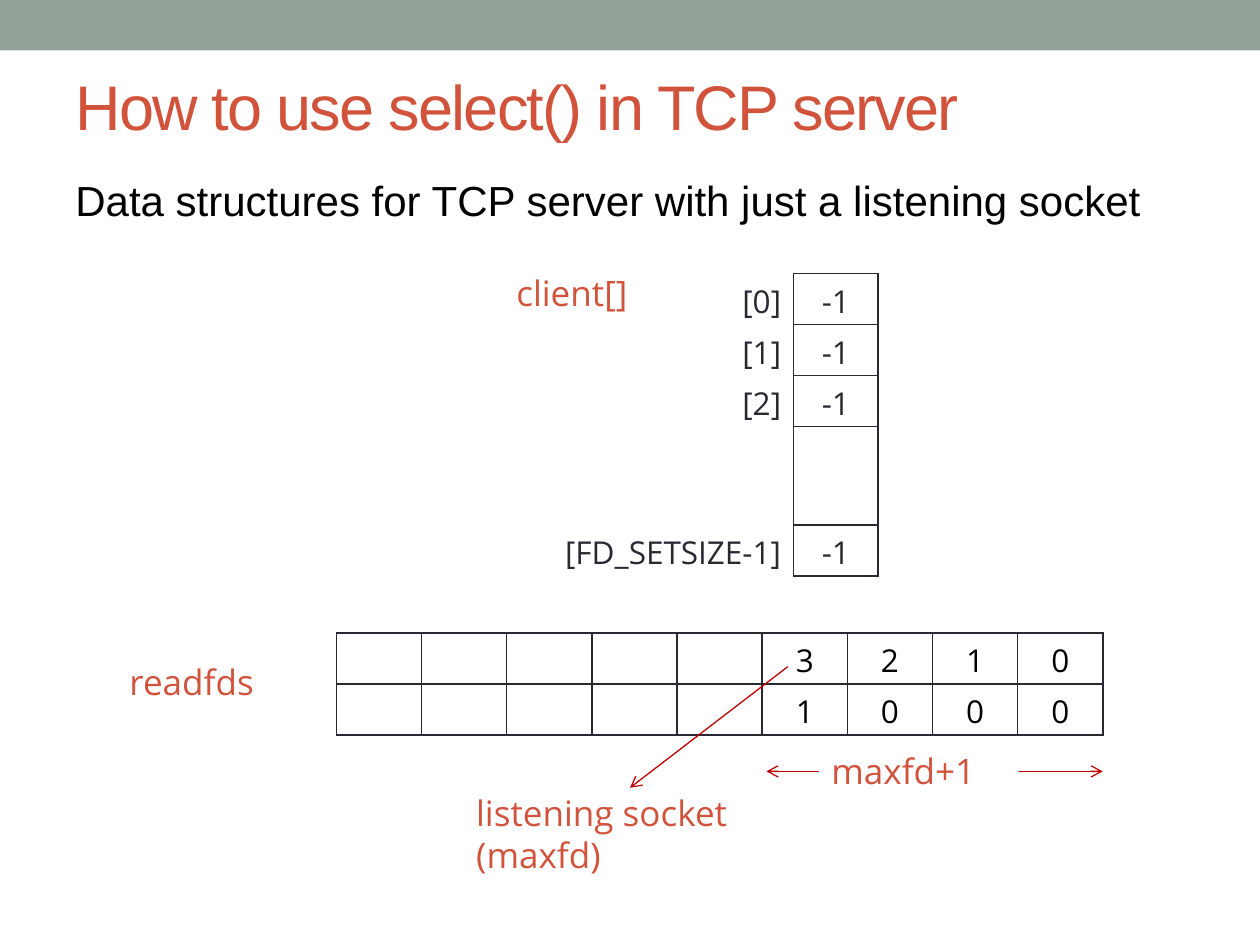
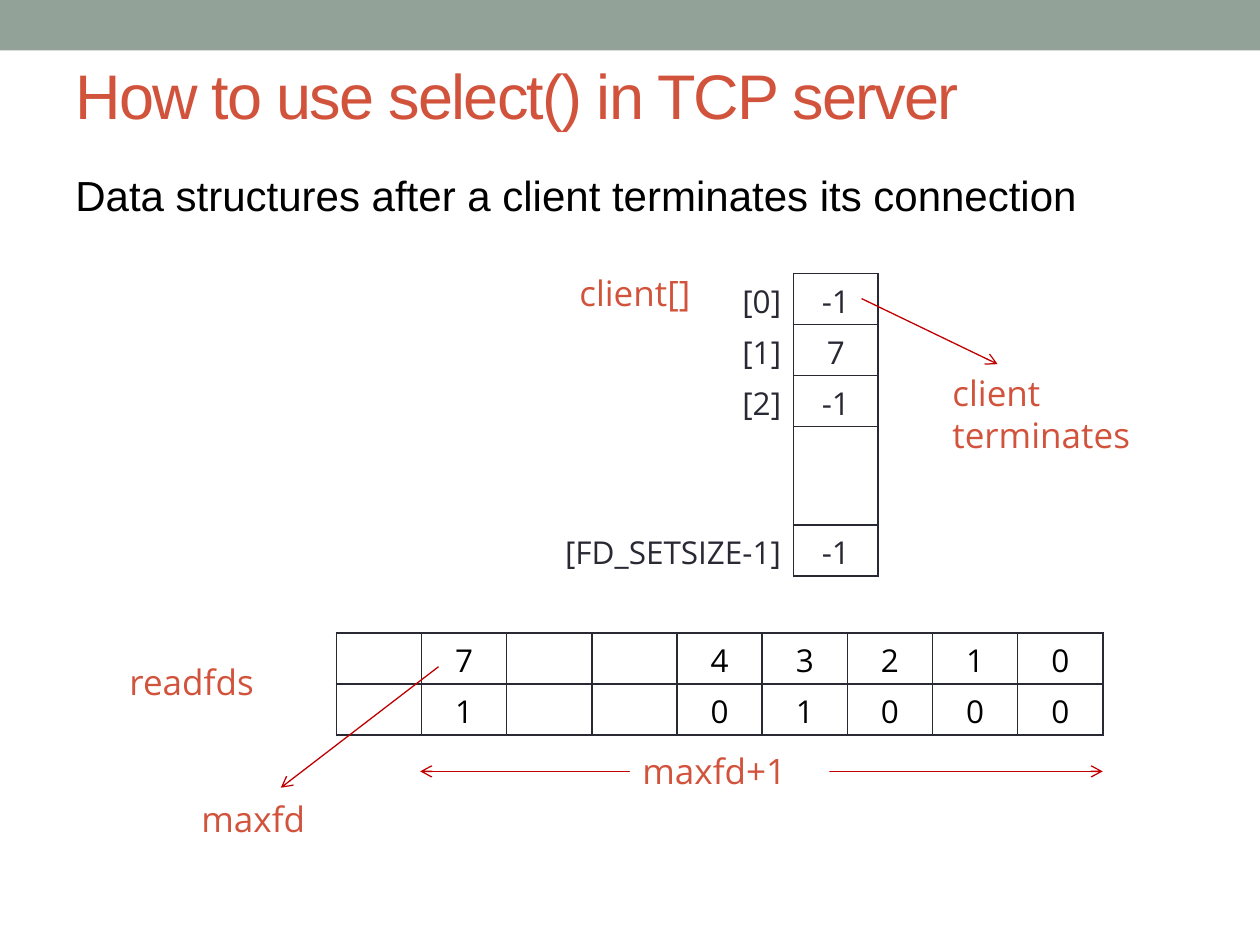
import pptx
import pptx.util
import pptx.dml.color
import pptx.enum.shapes
import pptx.enum.text
import pptx.oxml
import pptx.oxml.ns
import lxml.etree

Cm = pptx.util.Cm
Pt = pptx.util.Pt
RGBColor = pptx.dml.color.RGBColor
ALIGN = pptx.enum.text.PP_ALIGN
ANCHOR = pptx.enum.text.MSO_ANCHOR
qn = pptx.oxml.ns.qn

BAND = RGBColor(0x93, 0xA2, 0x99)
ACCENT = RGBColor(0xD2, 0x53, 0x3C)
INK = RGBColor(0x29, 0x29, 0x34)
ARROW = RGBColor(0xC0, 0x00, 0x00)
BLACK = RGBColor(0, 0, 0)
WHITE = RGBColor(0xFF, 0xFF, 0xFF)

HEAD_FONT = "Arial"
BODY_FONT = "Open Sans"
SLIDE_W, SLIDE_H = 25.4, 19.05
ROW_H, GAP_ROW_H = 1.03, 1.98
BIT_W = 1.717
FDS_LEFT, FDS_TOP, FDS_COLS = 6.78, 12.76, 9
FDS_RIGHT = 22.23
INDEXES = ["[0]", "[1]", "[2]", "", "[FD_SETSIZE-1]"]


def style(p, size, color, font=BODY_FONT, align=ALIGN.LEFT):
    p.alignment = align
    p.font.size = Pt(size)
    p.font.name = font
    p.font.color.rgb = color


def add_rect(slide, x, y, w, h, fill):
    sp = slide.shapes.add_shape(pptx.enum.shapes.MSO_SHAPE.RECTANGLE,
                                Cm(x), Cm(y), Cm(w), Cm(h))
    sp.shadow.inherit = False
    sp.fill.solid()
    sp.fill.fore_color.rgb = fill
    sp.line.fill.background()
    return sp


def set_text(sp, text, size, color, font=BODY_FONT, anchor=ANCHOR.BOTTOM):
    tf = sp.text_frame
    tf.word_wrap = True
    tf.vertical_anchor = anchor
    p = tf.paragraphs[0]
    p.text = text
    style(p, size, color, font)
    return p


def add_text(slide, x, y, w, h, text, size=20, color=ACCENT, font=BODY_FONT,
             anchor=ANCHOR.BOTTOM):
    sp = slide.shapes.add_textbox(Cm(x), Cm(y), Cm(w), Cm(h))
    return set_text(sp, text, size, color, font, anchor)


def add_arrow(slide, start, end, both=False):
    x1, y1 = start
    x2, y2 = end
    c = slide.shapes.add_connector(pptx.enum.shapes.MSO_CONNECTOR.STRAIGHT,
                                   Cm(x1), Cm(y1), Cm(x2), Cm(y2))
    c.line.color.rgb = ARROW
    c.line.width = Pt(0.75)
    ln = c.line._get_or_add_ln()
    for tag in ["a:headEnd", "a:tailEnd"] if both else ["a:tailEnd"]:
        lxml.etree.SubElement(ln, qn(tag)).set("type", "arrow")
    lxml.etree.SubElement(c._element.spPr, qn("a:effectLst"))


def set_borders(cell, sides):
    tcPr = cell._tc.get_or_add_tcPr()
    for i, side in enumerate("LRTB"):
        ln = lxml.etree.Element(qn("a:ln" + side), w=str(Pt(1)))
        if side in sides:
            fill = lxml.etree.SubElement(ln, qn("a:solidFill"))
            lxml.etree.SubElement(fill, qn("a:srgbClr")).set("val", str(INK))
        else:
            lxml.etree.SubElement(ln, qn("a:noFill"))
        tcPr.insert(i, ln)


def add_grid(slide, x, y, widths, heights):
    tbl = slide.shapes.add_table(len(heights), len(widths), Cm(x), Cm(y),
                                 Cm(sum(widths)), Cm(sum(heights))).table
    tbl.first_row = tbl.horz_banding = False
    for col, w in zip(tbl.columns, widths):
        col.width = Cm(w)
    for row, h in zip(tbl.rows, heights):
        row.height = Cm(h)
    return tbl


def fill_cell(cell, text, color, align=ALIGN.CENTER, fill=None, sides="LRTB"):
    p = cell.text_frame.paragraphs[0]
    if text:
        p.text = text
    style(p, 18, color, align=align)
    if fill is None:
        cell.fill.background()
    else:
        cell.fill.solid()
        cell.fill.fore_color.rgb = fill
    set_borders(cell, sides)


def add_client_table(slide, values):
    heights = [ROW_H if index else GAP_ROW_H for index in INDEXES]
    tbl = add_grid(slide, 10.08, 5.51, [5.92, 1.7], heights)
    for i, (index, value) in enumerate(zip(INDEXES, values)):
        fill_cell(tbl.cell(i, 0), index, INK, ALIGN.RIGHT, WHITE, "R")
        fill_cell(tbl.cell(i, 1), value, INK, fill=WHITE)


def add_readfds_table(slide, bits):
    tbl = add_grid(slide, FDS_LEFT, FDS_TOP, [BIT_W] * FDS_COLS, [ROW_H] * 2)
    for i in range(FDS_COLS):
        fd = str(FDS_COLS - 1 - i)
        fd = {"8": "", "7": "7"}.get(fd, fd)
        bit = bits.get(fd, "")
        fill_cell(tbl.cell(0, i), fd if bit else "", BLACK)
        fill_cell(tbl.cell(1, i), bit, BLACK)


def add_maxfd_range(slide, left, label_left):
    y = 15.55
    add_arrow(slide, (left, y), (FDS_RIGHT, y), both=True)
    sp = add_rect(slide, label_left, 14.93, 4.02, 1.16, WHITE)
    set_text(sp, "maxfd+1", 20, ACCENT)


def add_maxfd_pointer(slide, x):
    add_arrow(slide, (x, 13.44), (x - 3.18, 15.88))


def add_slide(prs, title_top, subtitle, subtitle_top, subtitle_h):
    slide = prs.slides.add_slide(prs.slide_layouts[6])
    add_rect(slide, 0, 0, SLIDE_W, 1.02, BAND)
    p = add_text(slide, 1.27, title_top, 22.86, 2.12,
                 "How to use select() in TCP server", 36, ACCENT, HEAD_FONT,
                 ANCHOR.MIDDLE)
    p.runs[0]._r.get_or_add_rPr().set("spc", "-100")
    add_text(slide, 1.27, subtitle_top, 22.23, subtitle_h, subtitle, 24,
             BLACK, HEAD_FONT)
    return slide


def add_structures(slide, client_left, clients, bits):
    add_client_table(slide, clients)
    add_readfds_table(slide, bits)
    add_text(slide, client_left, 5.29, 3.39, 1.16, "client[]")
    add_text(slide, 2.36, 13.12, 4, 1.16, "readfds")


def add_listening_slide(prs):
    slide = add_slide(
        prs, 1.06,
        "Data structures for TCP server with just a listening socket",
        2.96, 1.69)
    add_structures(slide, 10.16, ["-1", "-1", "-1", "", "-1"],
                   {"3": "1", "2": "0", "1": "0", "0": "0"})
    add_maxfd_pointer(slide, 15.88)
    add_text(slide, 9.35, 15.45, 6, 2.33, "listening socket (maxfd)")
    add_maxfd_range(slide, 15.45, 16.51)


def add_terminated_slide(prs):
    slide = add_slide(
        prs, 0.85, "Data structures after a client terminates its connection",
        3.39, 1.17)
    add_structures(slide, 11.43, ["-1", "7", "-1", "", "-1"],
                   {"7": "1", "4": "0", "3": "1", "2": "0", "1": "0", "0": "0"})
    add_text(slide, 18.95, 6.98, 4.75, 2.33, "client terminates")
    add_arrow(slide, (17.37, 6.02), (20.11, 7.34))
    add_maxfd_pointer(slide, 8.84)
    add_text(slide, 3.81, 15.88, 3.35, 1.16, "maxfd")
    add_maxfd_range(slide, 8.47, 12.7)


def main():
    prs = pptx.Presentation()
    prs.slide_width = Cm(SLIDE_W)
    prs.slide_height = Cm(SLIDE_H)
    add_listening_slide(prs)
    add_terminated_slide(prs)
    prs.save("out.pptx")


main()
